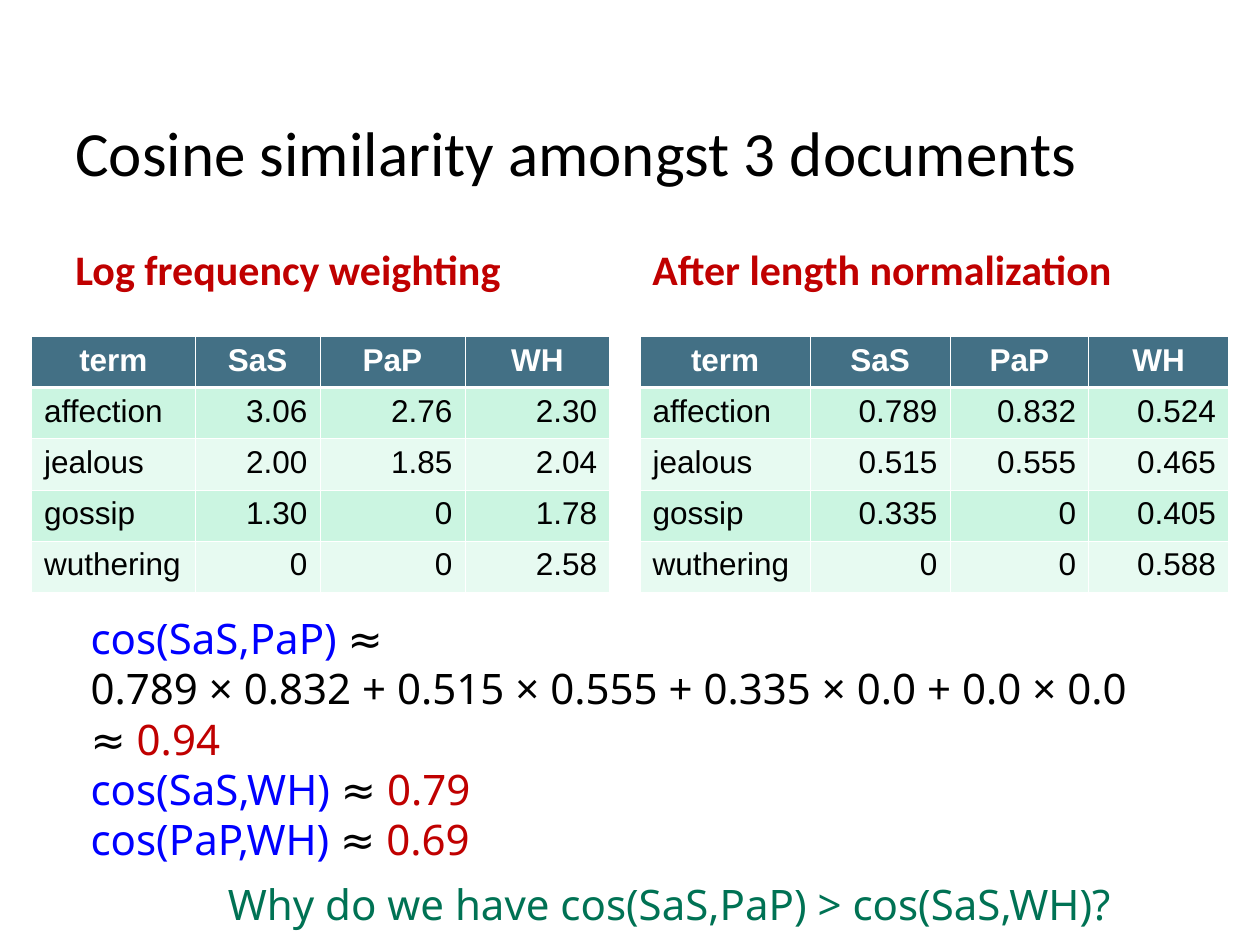
from lxml import etree
from pptx import Presentation
from pptx.dml.color import RGBColor
from pptx.enum.text import MSO_ANCHOR, PP_ALIGN
from pptx.oxml.ns import qn
from pptx.util import Inches, Pt

BOTTOM, TOP = MSO_ANCHOR.BOTTOM, MSO_ANCHOR.TOP
LEFT, CENTER, RIGHT = PP_ALIGN.LEFT, PP_ALIGN.CENTER, PP_ALIGN.RIGHT

BLACK = RGBColor(0x00, 0x00, 0x00)
WHITE = RGBColor(0xFF, 0xFF, 0xFF)
RED = RGBColor(0xC0, 0x00, 0x00)
BLUE = RGBColor(0x00, 0x00, 0xFF)
GREEN = RGBColor(0x00, 0x72, 0x54)
HEADER_FILL = RGBColor(0x43, 0x70, 0x85)
BAND_FILLS = (RGBColor(0xCB, 0xF5, 0xE1), RGBColor(0xE7, 0xFA, 0xF1))

THIN, THICK = Pt(0.45), Pt(1.47)
ROW_HEIGHT = 0.406

HEADER = ("term", "SaS", "PaP", "WH")
LOG_WEIGHTS = (
    HEADER,
    ("affection", "3.06", "2.76", "2.30"),
    ("jealous", "2.00", "1.85", "2.04"),
    ("gossip", "1.30", "0", "1.78"),
    ("wuthering", "0", "0", "2.58"),
)
NORMALIZED_WEIGHTS = (
    HEADER,
    ("affection", "0.789", "0.832", "0.524"),
    ("jealous", "0.515", "0.555", "0.465"),
    ("gossip", "0.335", "0", "0.405"),
    ("wuthering", "0", "0", "0.588"),
)
# Each line is a list of (text, colour) pieces
COSINES = (
    [("cos(SaS,PaP) ", BLUE), ("≈", BLACK)],
    [("0.789 × 0.832 + 0.515 × 0.555 + 0.335 × 0.0 + 0.0 × 0.0", BLACK)],
    [("≈ ", BLACK), ("0.94", RED)],
    [("cos(SaS,WH)", BLUE), (" ≈ ", BLACK), ("0.79", RED)],
    [("cos(PaP,WH) ", BLUE), ("≈ ", BLACK), ("0.69", RED)],
)
QUESTION = ([("Why do we have cos(SaS,PaP) > cos(SaS,WH)?", GREEN)],)


def set_font(font, name, size, color, bold=False):
    font.name, font.size, font.bold = name, Pt(size), bold
    font.color.rgb = color


def add_heading(slide, box, text, size, color, bold=False):
    """One line of text resting on the bottom of its box."""
    frame = slide.shapes.add_textbox(*map(Inches, box)).text_frame
    frame.word_wrap = True
    frame.vertical_anchor = BOTTOM
    frame.text = text
    set_font(frame.paragraphs[0].runs[0].font, "Calibri", size, color, bold)


def add_formulas(slide, box, lines):
    """Lines of coloured pieces at an even pitch."""
    frame = slide.shapes.add_textbox(*map(Inches, box)).text_frame
    frame.word_wrap = False
    frame.vertical_anchor = TOP
    for index, pieces in enumerate(lines):
        line = frame.add_paragraph() if index else frame.paragraphs[0]
        line.line_spacing = Pt(28.8)
        for text, color in pieces:
            piece = line.add_run()
            piece.text = text
            set_font(piece.font, "Noto Sans", 24, color)


def set_borders(cell, widths):
    properties = cell._tc.get_or_add_tcPr()
    for position, (side, width) in enumerate(widths.items()):
        border = etree.Element(qn(f"a:{side}"), w=str(int(width)))
        fill = etree.SubElement(border, qn("a:solidFill"))
        etree.SubElement(fill, qn("a:srgbClr"), val=str(WHITE))
        properties.insert(position, border)


def add_weights(slide, left, top, column_widths, rows):
    """Term weights under a dark header, in alternating bands."""
    table = slide.shapes.add_table(
        len(rows), len(column_widths), Inches(left), Inches(top),
        Inches(sum(column_widths)), Inches(ROW_HEIGHT * len(rows))).table
    for column, width in zip(table.columns, column_widths):
        column.width = Inches(width)
    for r, row in enumerate(rows):
        table.rows[r].height = Inches(ROW_HEIGHT)
        header = r == 0
        for c, text in enumerate(row):
            cell = table.cell(r, c)
            cell.text = text
            cell.fill.solid()
            cell.fill.fore_color.rgb = HEADER_FILL if header else BAND_FILLS[(r - 1) % 2]
            set_borders(cell, {"lnL": THIN, "lnR": THIN,
                               "lnT": THICK if r == 1 else THIN,
                               "lnB": THICK if header else THIN})
            entry = cell.text_frame.paragraphs[0]
            entry.alignment = CENTER if header else RIGHT if c else LEFT
            set_font(entry.runs[0].font, "Arial", 18, WHITE if header else BLACK, header)


def main():
    presentation = Presentation()
    presentation.slide_width, presentation.slide_height = Inches(10), Inches(7.5)
    slide = presentation.slides.add_slide(presentation.slide_layouts[6])

    # Title
    add_heading(slide, (0.5, 0.3, 9, 1.25), "Cosine similarity amongst 3 documents", 36, BLACK)

    # Weights before and after normalization
    add_heading(slide, (0.5, 1.68, 4.42, 0.7), "Log frequency weighting", 24, RED, True)
    add_weights(slide, 0.25, 2.67, (1.3, 0.99, 1.15, 1.15), LOG_WEIGHTS)
    add_heading(slide, (5.08, 1.68, 4.42, 0.7), "After length normalization", 24, RED, True)
    add_weights(slide, 5.08, 2.67, (1.35, 1.11, 1.1, 1.11), NORMALIZED_WEIGHTS)

    # Similarities and the closing question
    add_formulas(slide, (0.62, 4.81, 8.42, 2.1), COSINES)
    add_formulas(slide, (1.71, 6.92, 7.22, 0.5), QUESTION)

    presentation.save("out.pptx")


if __name__ == "__main__":
    main()
